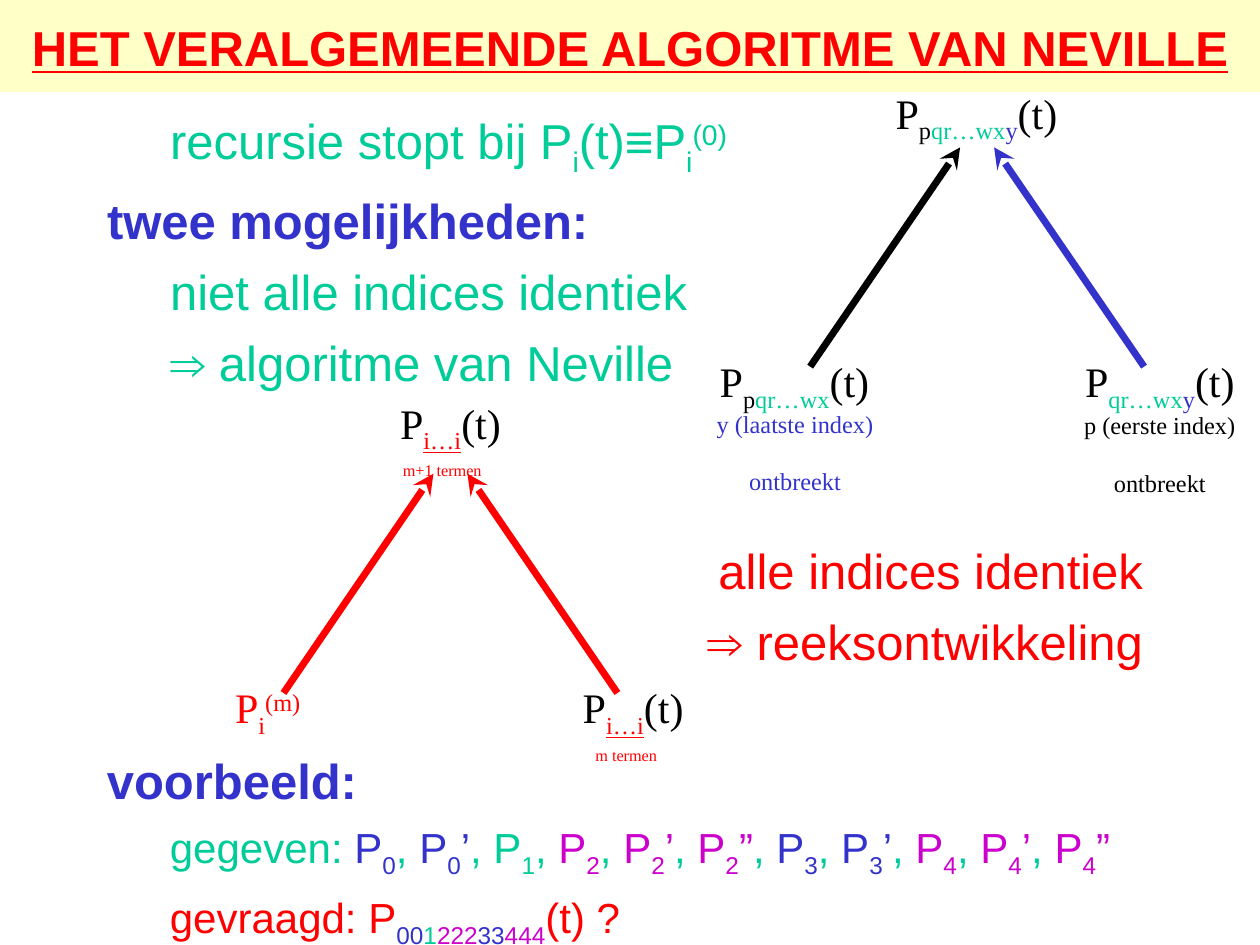
from lxml import etree
from pptx import Presentation
from pptx.dml.color import RGBColor
from pptx.enum.shapes import MSO_CONNECTOR as Connector, MSO_SHAPE as Shape
from pptx.enum.text import MSO_ANCHOR as Anchor, MSO_AUTO_SIZE as AutoSize, PP_ALIGN as Align
from pptx.oxml.ns import qn
from pptx.util import Inches, Pt

RED, GREEN, BLUE, PURPLE = "FF0000", "00CC99", "3333CC", "CC00CC"
BLACK, CREAM = "000000", "FFFFC8"
SERIF = "Times New Roman"


def rgb(value):
    return RGBColor.from_string(value)


def sub(text, **style):
    return text, {"baseline": -25, **style}


def sup(text, **style):
    return text, {"baseline": 30, **style}


def colored(text, color):
    return text, {"color": color}


def add_run(paragraph, text, size=28, color=BLACK, name="Arial",
            bold=False, underline=False, baseline=0):
    run = paragraph.add_run()
    run.text = text
    font = run.font
    font.size, font.name = Pt(size), name
    font.bold, font.underline = bold, underline
    font.color.rgb = rgb(color)
    if baseline:
        font._element.set("baseline", str(baseline * 1000))


def write_runs(paragraph, runs, **style):
    """Each run is a plain string or a (text, style changes) pair."""
    for run in runs:
        text, changes = (run, {}) if isinstance(run, str) else run
        add_run(paragraph, text, **{**style, **changes})


def place(shape, left, top, width, height):
    shape.left, shape.top = Inches(left), Inches(top)
    shape.width, shape.height = Inches(width), Inches(height)


def write_list(frame, items):
    """Each item is (level, space before, alignment, runs, style)."""
    frame.word_wrap = True
    frame.auto_size = AutoSize.NONE
    frame.vertical_anchor = Anchor.TOP
    for index, (level, before, align, runs, style) in enumerate(items):
        paragraph = frame.add_paragraph() if index else frame.paragraphs[0]
        paragraph.level = level
        paragraph.alignment = align
        paragraph.space_before = Pt(before)
        properties = paragraph._p.get_or_add_pPr()
        margin, indent = ((0.81, -0.31) if level else (0.38, -0.38))
        properties.set("marL", str(Inches(margin)))
        properties.set("indent", str(Inches(indent)))
        etree.SubElement(properties, qn("a:buNone"))
        write_runs(paragraph, runs, **style)


def add_label(slide, left, top, width, height, *lines, size=24, color=BLACK):
    """Centred serif label of one or more lines of runs."""
    box = slide.shapes.add_textbox(Inches(left), Inches(top), Inches(width), Inches(height))
    frame = box.text_frame
    frame.word_wrap = False
    frame.auto_size = AutoSize.SHAPE_TO_FIT_TEXT
    frame.vertical_anchor = Anchor.MIDDLE
    for index, runs in enumerate(lines):
        paragraph = frame.add_paragraph() if index else frame.paragraphs[0]
        paragraph.alignment = Align.CENTER
        write_runs(paragraph, runs, size=size, color=color, name=SERIF)


def add_arrow(slide, start_x, start_y, end_x, end_y, color):
    arrow = slide.shapes.add_connector(Connector.STRAIGHT, Inches(start_x), Inches(start_y),
                                       Inches(end_x), Inches(end_y))
    arrow.line.width = Pt(4)
    arrow.line.color.rgb = rgb(color)
    etree.SubElement(arrow.line._get_or_add_ln(), qn("a:tailEnd"), type="stealth")
    etree.SubElement(arrow._element.spPr, qn("a:effectLst"))


def add_arrow_pair(slide, left, bottom, left_color, right_color):
    """Two arrows that rise towards a shared parent."""
    span, run, rise = 2.65, 1.19, 1.74
    right = left + span
    add_arrow(slide, left, bottom, left + run, bottom - rise, left_color)
    add_arrow(slide, right, bottom, right - run, bottom - rise, right_color)


def add_title(slide):
    band = slide.shapes.add_shape(Shape.RECTANGLE, 0, 0, Inches(10), Inches(0.73))
    band.shadow.inherit = False
    band.fill.solid()
    band.fill.fore_color.rgb = rgb(CREAM)
    band.line.fill.background()
    title = slide.shapes.title
    title._element.addprevious(band._element)
    place(title, 0, 0, 10, 0.75)
    frame = title.text_frame
    frame.auto_size = AutoSize.NONE
    frame.vertical_anchor = Anchor.MIDDLE
    frame.paragraphs[0].alignment = Align.CENTER
    add_run(frame.paragraphs[0], "HET VERALGEMEENDE ALGORITME VAN NEVILLE",
            color=RED, bold=True, underline=True)


def add_body(slide):
    body = slide.placeholders[1]
    place(body, 0.75, 0.83, 8.42, 6.67)
    green, red = {"color": GREEN}, {"color": RED}
    write_list(body.text_frame, [
        (1, 0, Align.LEFT,
         ["recursie stopt bij P", sub("i"), "(t)≡P", sub("i"), sup("(0)")], green),
        (0, 7, Align.LEFT, ["twee mogelijkheden:"], {"color": BLUE, "bold": True}),
        (1, 7, Align.LEFT, ["niet alle indices identiek"], green),
        (1, 7, Align.LEFT, ["⇒ algoritme van Neville"], green),
        (1, 85.5, Align.RIGHT, ["alle indices identiek"], red),
        (1, 7, Align.RIGHT, ["⇒ reeksontwikkeling"], red),
    ])


def given_values():
    """Runs for the known values: index, prime mark and colour of each."""
    values = [("0", "", BLUE), ("0", "’", BLUE), ("1", "", GREEN),
              ("2", "", PURPLE), ("2", "’", PURPLE), ("2", "”", PURPLE),
              ("3", "", BLUE), ("3", "’", BLUE),
              ("4", "", PURPLE), ("4", "’", PURPLE), ("4", "”", PURPLE)]
    runs = ["gegeven: "]
    for number, (index, prime, color) in enumerate(values):
        if number:
            runs.append(", ")
        runs += [colored("P", color), sub(index, color=color)]
        if prime:
            runs.append(colored(prime, color))
    return runs


def add_example(slide):
    box = slide.shapes.add_textbox(Inches(0.75), Inches(5.91), Inches(8.42), Inches(1.5))
    wanted = [("00", BLUE), ("1", GREEN), ("222", PURPLE), ("33", BLUE), ("444", PURPLE)]
    write_list(box.text_frame, [
        (0, 0, Align.LEFT, ["voorbeeld:"], {"color": BLUE, "bold": True}),
        (1, 7, Align.LEFT, given_values(), {"color": GREEN, "size": 24}),
        (1, 7, Align.LEFT,
         ["gevraagd: P", *(sub(text, color=color) for text, color in wanted), "(t) ?"],
         {"color": RED, "size": 24}),
    ])


def add_identical_tree(slide):
    repeated = ["P", sub("i…i", color=RED, underline=True), "(t)"]
    add_label(slide, 4.5, 5.39, 1.05, 0.5, repeated)
    add_label(slide, 1.74, 5.39, 0.77, 0.5, ["P", sub("i"), sup("(m)")], color=RED)
    add_arrow_pair(slide, 2.25, 5.5, RED, RED)
    add_label(slide, 4.58, 5.88, 0.78, 0.28, [sup("m termen")], size=16, color=RED)
    add_label(slide, 3.04, 3.62, 0.94, 0.28, [sup("m+1 termen")], size=16, color=RED)
    add_label(slide, 3.05, 3.13, 1.05, 0.5, repeated)


def add_neville_tree(slide):
    first, middle, last = sub("p"), sub("qr…wx", color=GREEN), sub("y", color=BLUE)
    add_label(slide, 6.95, 0.67, 1.6, 0.5, ["P", first, middle, last, "(t)"])
    add_arrow_pair(slide, 6.43, 2.91, BLACK, BLUE)
    add_label(slide, 8.46, 2.8, 1.49, 0.5, ["P", middle, last, "(t)"])
    add_label(slide, 5.56, 2.8, 1.49, 0.5, ["P", first, middle, "(t)"])
    missing = [sub("ontbreekt")]
    add_label(slide, 8.41, 3.17, 1.59, 0.64, [sub("p (eerste index)")], missing)
    add_label(slide, 5.49, 3.16, 1.64, 0.64, [sub("y (laatste index)")], missing, color=BLUE)


def main():
    presentation = Presentation()
    presentation.slide_width, presentation.slide_height = Inches(10), Inches(7.5)
    slide = presentation.slides.add_slide(presentation.slide_layouts[1])
    add_title(slide)
    add_body(slide)
    add_identical_tree(slide)
    add_example(slide)
    add_neville_tree(slide)
    presentation.save("out.pptx")


if __name__ == "__main__":
    main()
